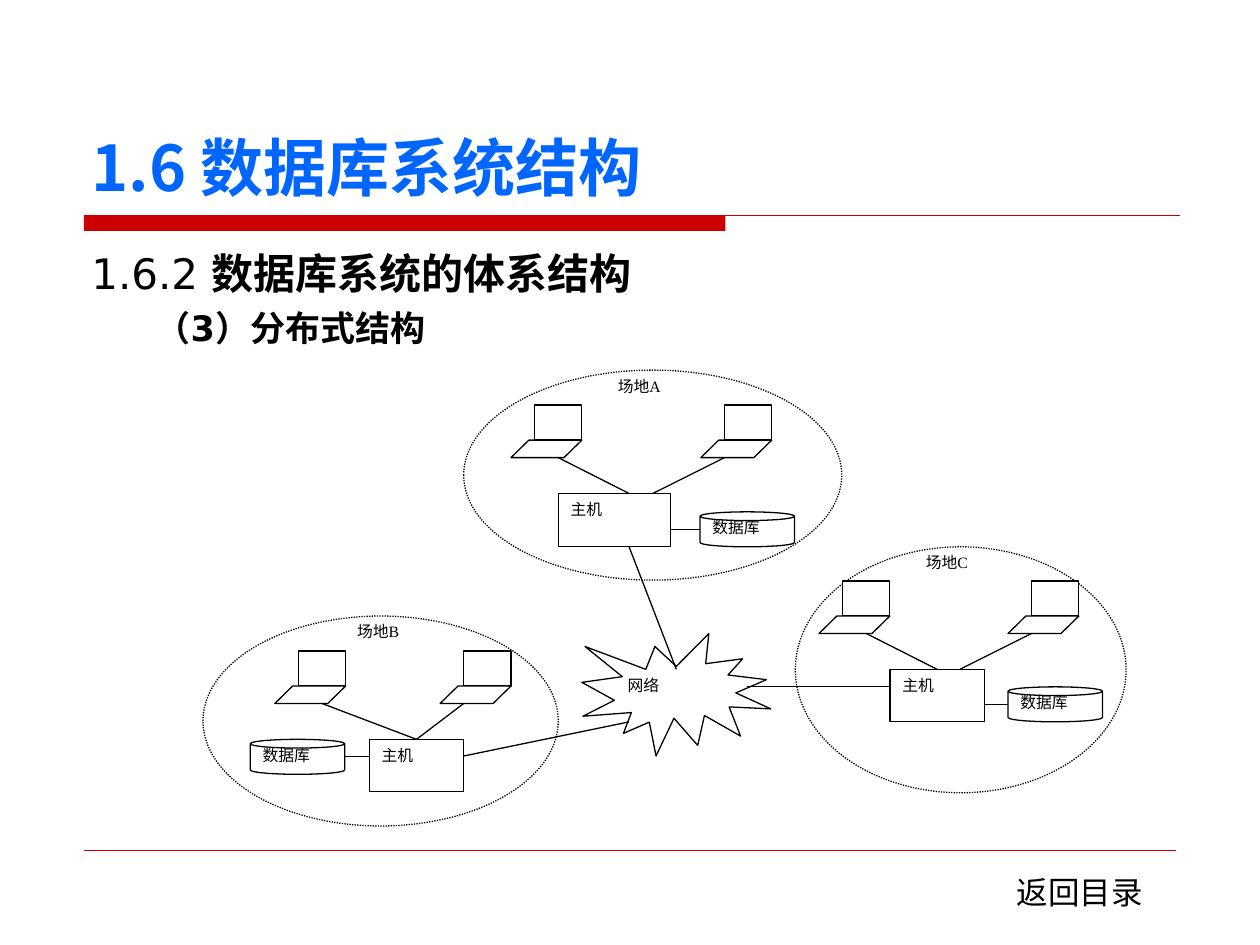
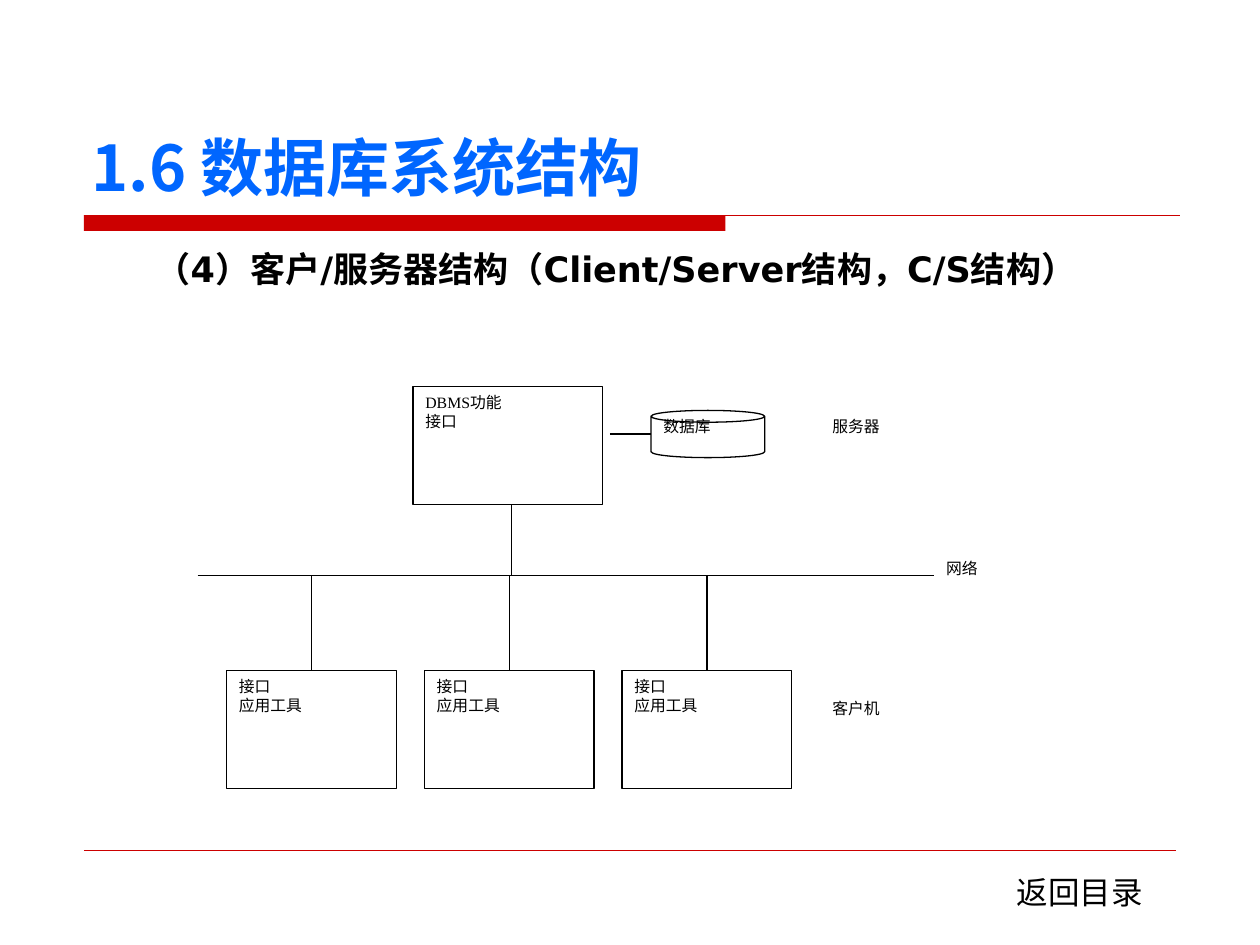
"""Two slides on database system architecture: distributed and client/server."""
from lxml import etree
from pptx import Presentation
from pptx.dml.color import RGBColor
from pptx.enum import dml, shapes, text
from pptx.oxml import ns
from pptx.util import Pt

RED = RGBColor(0xCC, 0x00, 0x00)
BLUE = RGBColor(0x00, 0x66, 0xFF)
BLACK = RGBColor(0x00, 0x00, 0x00)
WHITE = RGBColor(0xFF, 0xFF, 0xFF)
HAN, SANS, SERIF = "Noto Sans CJK SC", "DejaVu Sans", "Times New Roman"
KIND = shapes.MSO_SHAPE

TITLE = "1.6 数据库系统结构"
BACK = "返回目录"
HOST, BASE, NET = "主机", "数据库", "网络"
HEADS = [("1.6.2 ", False), ("数据库系统的体系结构", True)]
DIST = [("\t", False), ("（3）分布式结构", True)]
CLIENT = [("\t", False), ("（4）客户/服务器结构（Client/Server结构，C/S结构）", True)]

SITES = [
    dict(name="场地C", tag=522, oval=(454.5, 312.5, 189, 140.5), host=(508.5, 382.5, 54, 30),
         pcs=(481.5, 589.5), feet=(535.5, 548.5), base=(576, 392.5)),
    dict(name="场地B", tag=197, oval=(116, 352, 203, 120), host=(211, 422.5, 54, 30),
         pcs=(170.5, 265), feet=(238, 238), base=(143, 422.5)),
    dict(name="场地A", tag=346, oval=(265, 211.5, 216, 120), host=(319, 282, 64, 30.5),
         pcs=(305.5, 414), feet=(359.5, 373), base=(400, 292.5)),
]
BURST = (332.5, 362, 108, 70)
WIRES = [(359.5, 312.5, 386.5, 382.5), (265, 432, 359.5, 412.5), (427, 392.5, 508.5, 392.5)]

SERVER = ["DBMS功能", "接口"]
TOOLS = ["接口", "应用工具"]
LABELS = [("服务器", 468.5, 234.5), (NET, 533.5, 336.5 - 21), ("客户机", 468.5, 396)]
BUS = 329


def write(frame, paras, size=9, font=SERIF, color=BLACK, bold=False, gaps=(), hang=0):
    """Fill a frame with paragraphs, each a string or a list of (text, bold)."""
    frame.word_wrap = True
    frame.auto_size = text.MSO_AUTO_SIZE.NONE
    frame.vertical_anchor = text.MSO_ANCHOR.TOP
    for i, parts in enumerate(paras):
        para = frame.paragraphs[0] if i == 0 else frame.add_paragraph()
        para.alignment = text.PP_ALIGN.LEFT
        para.space_before = Pt(gaps[i] if gaps else 0)
        if hang:
            prop = para._p.get_or_add_pPr()
            prop.set("marL", str(Pt(hang)))
            prop.set("indent", str(-Pt(hang)))
            etree.SubElement(prop, ns.qn("a:buNone"))
        for words, heavy in [(parts, bold)] if isinstance(parts, str) else parts:
            run = para.add_run()
            run.text = words
            run.font.size, run.font.bold, run.font.name = Pt(size), heavy, font
            run.font.color.rgb = color
            east = etree.SubElement(run._r.get_or_add_rPr(), ns.qn("a:ea"))
            east.set("typeface", HAN)


def place(item, box):
    """Move and size a shape."""
    item.left, item.top, item.width, item.height = map(Pt, box)


def shape(slide, kind, box, fill=WHITE, line=BLACK, paras=()):
    """Add a preset shape, outlined and filled as asked."""
    item = slide.shapes.add_shape(kind, *map(Pt, box))
    item.shadow.inherit = False
    if fill is None:
        item.fill.background()
    else:
        item.fill.solid()
        item.fill.fore_color.rgb = fill
    if line is None:
        item.line.fill.background()
    else:
        item.line.color.rgb, item.line.width = line, Pt(0.75)
    if paras:
        write(item.text_frame, paras)
    return item


def wire(slide, x1, y1, x2, y2, color=BLACK, width=0.75):
    """Add a straight line."""
    item = slide.shapes.add_connector(shapes.MSO_CONNECTOR.STRAIGHT, *map(Pt, (x1, y1, x2, y2)))
    item.line.color.rgb, item.line.width = color, Pt(width)
    etree.SubElement(item._element.spPr, ns.qn("a:effectLst"))


def label(slide, words, x, y, w=68, h=30, **form):
    """Add a text box."""
    write(slide.shapes.add_textbox(*map(Pt, (x, y, w, h))).text_frame, [words], **form)


def store(slide, x, y, w=54, h=20):
    """Add a database drum with its name."""
    label(slide, BASE, x, y)
    shape(slide, KIND.CAN, (x, y, w, h), fill=None)


def laptop(slide, x, y):
    """Add a screen with a slanted keyboard."""
    shape(slide, KIND.RECTANGLE, (x, y, 27, 20))
    shape(slide, KIND.PARALLELOGRAM, (x - 13.5, y + 20, 40.5, 10)).adjustments[0] = 1.02


def site(slide, name, tag, oval, host, pcs, feet, base):
    """Add the machines of one site and the lines between them."""
    x, y, w, h = host
    shape(slide, KIND.RECTANGLE, host, paras=[HOST])
    for pc, foot, shift in zip(pcs, feet, (13.5, 0)):
        laptop(slide, pc, y - 50.5)
        wire(slide, pc + shift, y - 20.5, foot, y)
    label(slide, name, tag, oval[1])
    store(slide, *base)
    left, top = base
    ends = (x + w, left) if left > x else (left + 54, x)
    wire(slide, ends[0], top + 10, ends[1], top + 10)


def start(deck, paras, gaps):
    """Add a slide with title, body, bands and footer."""
    slide = deck.slides.add_slide(deck.slide_layouts[1])
    shape(slide, KIND.RECTANGLE, (48, 123, 366.5, 9), fill=RED, line=None)
    wire(slide, 48, 123, 674.5, 123, color=RED)
    wire(slide, 48, 486, 672, 486, color=RED, width=0.25)
    title, body = slide.placeholders
    place(title, (45, 24, 630, 96))
    write(title.text_frame, [TITLE], size=36, font=HAN, color=BLUE, bold=True)
    title.text_frame.vertical_anchor = text.MSO_ANCHOR.BOTTOM
    place(body, (45, 138, 630, 336))
    write(body.text_frame, paras, size=20, font=SANS, gaps=gaps, hang=36.75)
    label(slide, BACK, 574, 495.5, w=90, size=18, font=SANS)
    return slide


def spread(deck):
    """Build the distributed structure slide."""
    slide = start(deck, [HEADS, DIST], (6, 5))
    for run in slide.placeholders[1].text_frame.paragraphs[0].runs:
        run.font.size = Pt(24)
    for spot in SITES:
        oval = shape(slide, KIND.OVAL, spot["oval"], fill=None)
        oval.line.dash_style = dml.MSO_LINE.ROUND_DOT
    shape(slide, KIND.EXPLOSION1, BURST)
    label(slide, NET, 351.5, 382.5)
    for spot in SITES:
        site(slide, **spot)
    for ends in WIRES:
        wire(slide, *ends)


def serve(deck):
    """Build the client/server structure slide."""
    slide = start(deck, [CLIENT], (5,))
    shape(slide, KIND.RECTANGLE, (236, 221, 108.5, 67.5), paras=SERVER)
    store(slide, 372, 234.5, 65, 27)
    wire(slide, 348.5, 248, 372, 248)
    wire(slide, 292.5, 288.5, 292.5, BUS)
    wire(slide, 113, BUS, 533.5, BUS)
    for i in range(3):
        x = 129.5 + 113 * i
        shape(slide, KIND.RECTANGLE, (x, 383, 97, 67.5), paras=TOOLS)
        wire(slide, x + 48.5, BUS, x + 48.5, 383)
    for words, x, y in LABELS:
        label(slide, words, x, y, w=85)


def main():
    """Build and save the deck."""
    deck = Presentation()
    deck.slide_width, deck.slide_height = Pt(720), Pt(540)
    spread(deck)
    serve(deck)
    deck.save("out.pptx")


if __name__ == "__main__":
    main()
